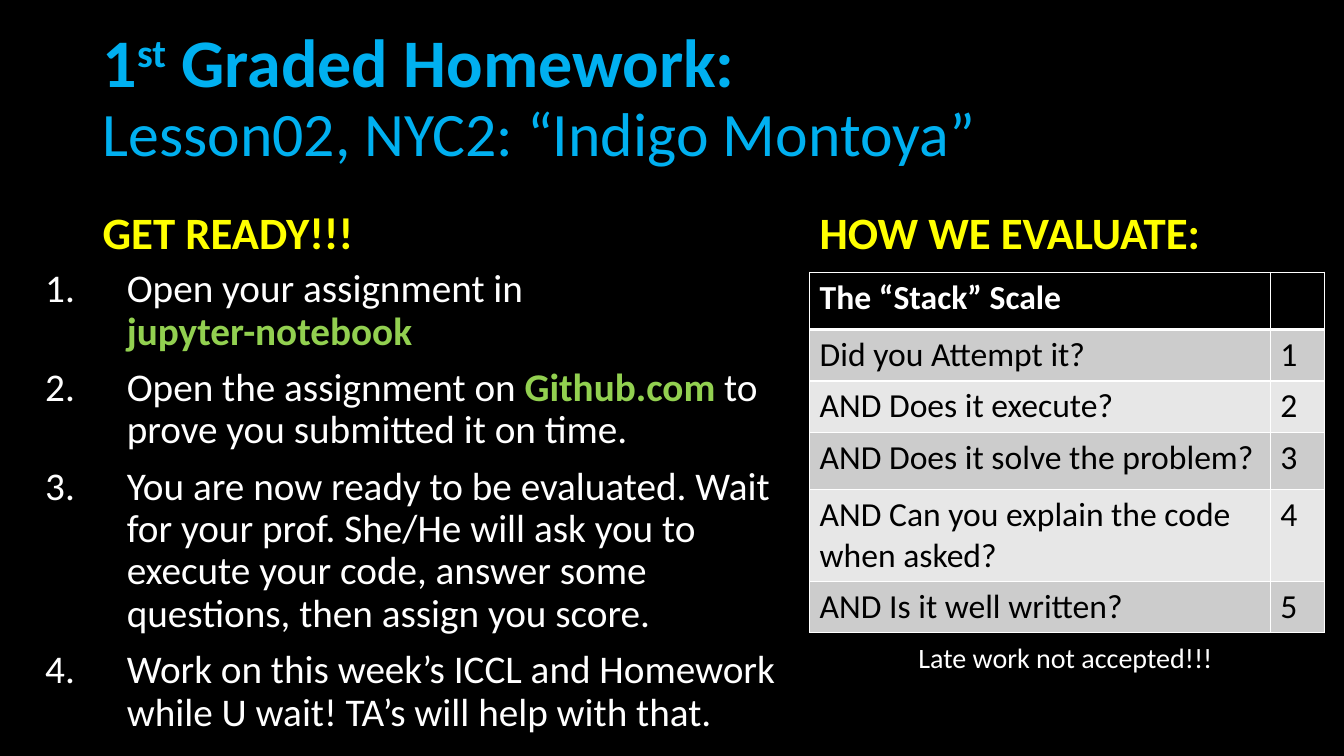
import pptx
import pptx.dml.color
import pptx.enum.text
import pptx.oxml
import pptx.oxml.ns
import pptx.util

Inches = pptx.util.Inches
Pt = pptx.util.Pt
ANCHOR = pptx.enum.text.MSO_ANCHOR

FONT = "Calibri"
COLORS = {
    "black": "000000",
    "white": "FFFFFF",
    "title": "00B0F0",
    "heading": "FFFF00",
    "highlight": "92D050",
    "band_dark": "CCCCCC",
    "band_light": "E7E7E7",
}

# Each step is a list of (text, highlighted) pieces; "\n" breaks the line
STEPS = [
    [("Open your assignment in \n", False), ("jupyter-notebook", True)],
    [("Open the assignment on ", False), ("Github.com", True),
     (" to prove you submitted it on time.", False)],
    [("You are now ready to be evaluated. Wait for your prof. She/He will ask "
      "you to execute your code, answer some questions, then assign you score.",
      False)],
    [("Work on this week’s ICCL and Homework while U wait! TA’s will help "
      "with that.", False)],
]

SCALE_HEADER = "The “Stack” Scale"
SCALE = [
    ("Did you Attempt it?", 0.51),
    ("AND Does it execute?", 0.51),
    ("AND Does it solve the problem?", 0.57),
    ("AND Can you explain the code when asked?", 0.91),
    ("AND Is it well written?", 0.51),
]


def rgb(name):
    return pptx.dml.color.RGBColor.from_string(COLORS[name])


def add_text(paragraph, text, size=24, color="white", bold=False, raised=False):
    """Add formatted text to a paragraph, turning newlines into line breaks."""
    for index, line in enumerate(text.split("\n")):
        if index:
            paragraph.add_line_break()
        if not line:
            continue
        run = paragraph.add_run()
        run.text = line
        run.font.name = FONT
        run.font.size = Pt(size)
        run.font.bold = bold
        run.font.color.rgb = rgb(color)
        if raised:
            run.font._element.set("baseline", "30000")


def add_box(slide, left, top, width, height, anchor=ANCHOR.TOP, wrap=True):
    box = slide.shapes.add_textbox(
        Inches(left), Inches(top), Inches(width), Inches(height))
    frame = box.text_frame
    frame.word_wrap = wrap
    frame.vertical_anchor = anchor
    return frame


def add_title(slide):
    title = add_box(slide, 0.92, 0.4, 11.5, 1.17, ANCHOR.MIDDLE).paragraphs[0]
    title.line_spacing = 0.9
    add_text(title, "1", size=48.6, color="title", bold=True)
    add_text(title, "st", size=48.6, color="title", bold=True, raised=True)
    add_text(title, " Graded Homework: \n", size=48.6, color="title", bold=True)
    add_text(title, "Lesson02, NYC2: “Indigo Montoya”", size=44.1, color="title")


def add_heading(slide, text, left, width):
    heading = add_box(slide, left, 2, width, 0.62, ANCHOR.BOTTOM).paragraphs[0]
    heading.line_spacing = 0.9
    add_text(heading, text, size=32, color="heading", bold=True)


def number_paragraph(paragraph, indent):
    properties = paragraph._p.get_or_add_pPr()
    properties.set("marL", str(Inches(indent)))
    properties.set("indent", str(-Inches(indent)))
    number = pptx.oxml.parse_xml(
        f'<a:buAutoNum {pptx.oxml.ns.nsdecls("a")} type="arabicPeriod"/>')
    properties.append(number)


def add_steps(slide):
    frame = add_box(slide, 0.35, 2.62, 7.53, 4.67)
    for index, pieces in enumerate(STEPS):
        step = frame.add_paragraph() if index else frame.paragraphs[0]
        number_paragraph(step, 0.81)
        step.line_spacing = 0.9
        if index:
            step.space_before = Pt(10)
        for text, highlighted in pieces:
            add_text(step, text, size=28, bold=highlighted,
                     color="highlight" if highlighted else "white")


def style_cell(cell, fill, top=1, bottom=1):
    # Borders come before the fill in the cell properties
    properties = cell._tc.get_or_add_tcPr()
    for side, points in (("L", 1), ("R", 1), ("T", top), ("B", bottom)):
        properties.append(pptx.oxml.parse_xml(
            f'<a:ln{side} {pptx.oxml.ns.nsdecls("a")} w="{Pt(points)}">'
            f'<a:solidFill><a:srgbClr val="{COLORS["white"]}"/></a:solidFill>'
            f'</a:ln{side}>'))
    cell.fill.solid()
    cell.fill.fore_color.rgb = rgb(fill)


def add_scale(slide):
    heights = [0.57] + [height for _, height in SCALE]
    scale = slide.shapes.add_table(
        len(heights), 2, Inches(8.03), Inches(2.7),
        Inches(5.11), Inches(sum(heights))).table
    for column, width in zip(scale.columns, (4.57, 0.54)):
        column.width = Inches(width)
    for row, height in zip(scale.rows, heights):
        row.height = Inches(height)

    # Header row with a heavier line below it
    for cell in scale.rows[0].cells:
        style_cell(cell, "black", bottom=3)
    add_text(scale.cell(0, 0).text_frame.paragraphs[0], SCALE_HEADER, bold=True)

    # Scored rows in alternating bands
    for score, (question, _) in enumerate(SCALE, start=1):
        band = "band_dark" if score % 2 else "band_light"
        for cell, text in zip(scale.rows[score].cells, (question, str(score))):
            style_cell(cell, band, top=3 if score == 1 else 1)
            add_text(cell.text_frame.paragraphs[0], text, color="black")


def main():
    deck = pptx.Presentation()
    deck.slide_width = Inches(13.33)
    deck.slide_height = Inches(7.5)
    slide = deck.slides.add_slide(deck.slide_layouts[6])
    slide.background.fill.solid()
    slide.background.fill.fore_color.rgb = rgb("black")

    add_title(slide)

    # Left column: steps
    add_heading(slide, "GET READY!!!", 0.92, 5.64)
    add_steps(slide)

    # Right column: grading scale
    add_heading(slide, "HOW WE EVALUATE:", 8.03, 4.67)
    add_scale(slide)
    late_note = add_box(slide, 9.01, 6.31, 3.15, 0.44, wrap=False)
    add_text(late_note.paragraphs[0], "Late work not accepted!!!", size=20)

    deck.save("out.pptx")


if __name__ == "__main__":
    main()
